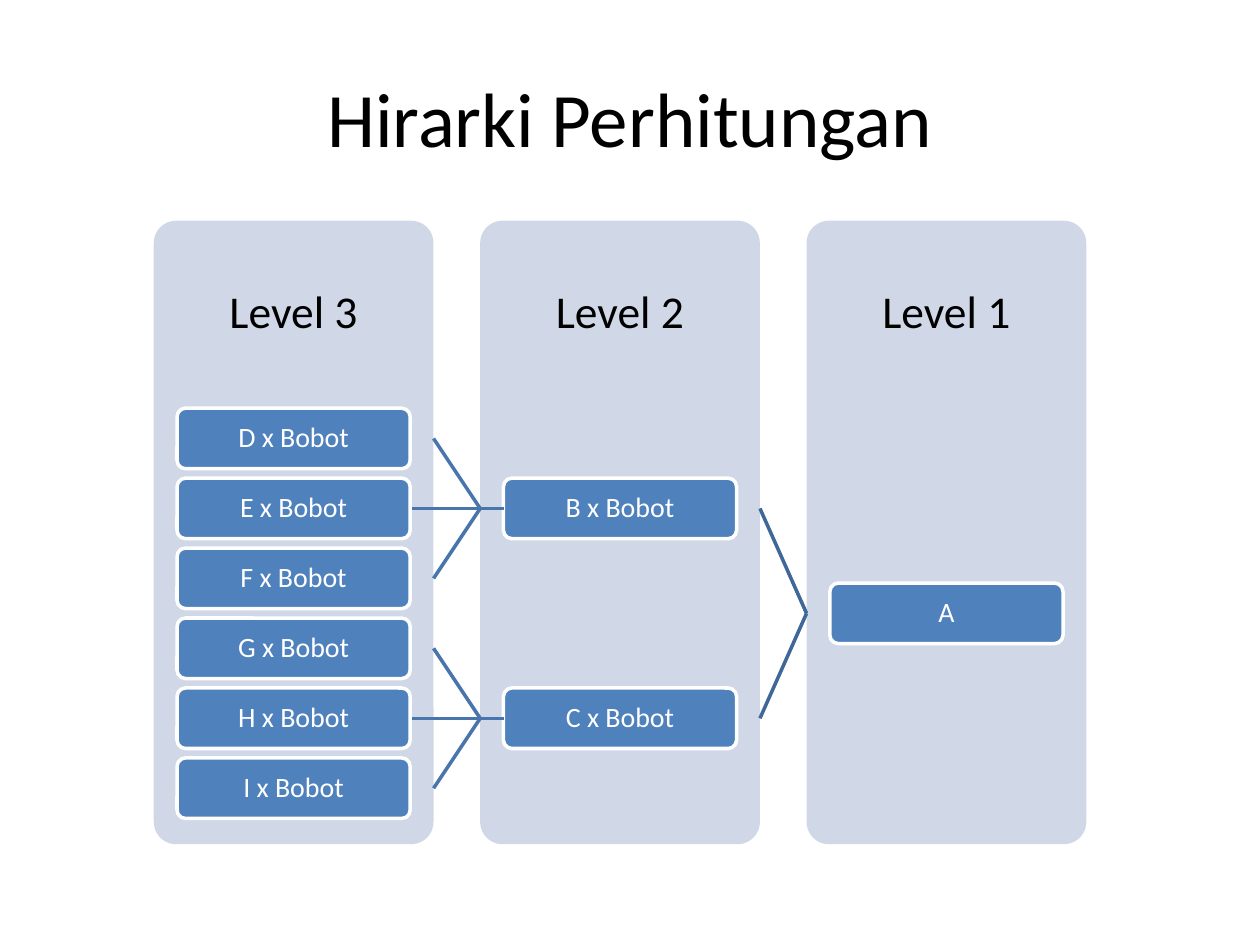
"""Build the slide showing the three-level calculation hierarchy."""
from lxml import etree
from pptx import Presentation
from pptx.dml.color import RGBColor
from pptx.enum.shapes import MSO_CONNECTOR, MSO_SHAPE
from pptx.enum.text import MSO_ANCHOR, PP_ALIGN
from pptx.oxml.ns import qn
from pptx.util import Cm, Pt

ROUNDED = MSO_SHAPE.ROUNDED_RECTANGLE
STRAIGHT = MSO_CONNECTOR.STRAIGHT
MIDDLE = MSO_ANCHOR.MIDDLE
CENTER = PP_ALIGN.CENTER

THEME = {
    "font": "Calibri",
    "title_size": 44, "level_size": 26, "node_size": 16, "line_width": 2,
    "dark": RGBColor(0x00, 0x00, 0x00),
    "white": RGBColor(0xFF, 0xFF, 0xFF),
    "panel": RGBColor(0xD0, 0xD8, 0xE8),
    "node": RGBColor(0x4F, 0x81, 0xBD),
    "branches": [RGBColor(0x48, 0x75, 0xAC), RGBColor(0x3F, 0x67, 0x97)],
}

PANEL_LEFT, PANEL_TOP, PANEL_WIDTH, PANEL_HEIGHT = 3.1, 4.45, 5.64, 12.57
PANEL_PITCH = 6.58
NODE_INSET, NODE_WIDTH, NODE_HEIGHT = 0.47, 4.7, 1.22
FIRST_ROW, ROW_PITCH = 8.84, 1.41

LEVELS = ["Level 3", "Level 2", "Level 1"]
NODES = [
    ("A", 2, 2.5, None),
    ("B x Bobot", 1, 1, 2.5), ("C x Bobot", 1, 4, 2.5),
    ("D x Bobot", 0, 0, 1), ("E x Bobot", 0, 1, 1), ("F x Bobot", 0, 2, 1),
    ("G x Bobot", 0, 3, 4), ("H x Bobot", 0, 4, 4), ("I x Bobot", 0, 5, 4),
]


def write(holder, text, size, color, spacing, margins):
    frame = holder.text_frame
    left, top, right, bottom = map(Cm, margins)
    frame_format = {
        "word_wrap": True, "vertical_anchor": MIDDLE,
        "margin_left": left, "margin_top": top,
        "margin_right": right, "margin_bottom": bottom,
    }
    for name, value in frame_format.items():
        setattr(frame, name, value)
    paragraph = frame.paragraphs[0]
    paragraph.alignment = CENTER
    paragraph.line_spacing = spacing
    run = paragraph.add_run()
    run.text = text
    for name, value in {"name": THEME["font"], "size": Pt(size)}.items():
        setattr(run.font, name, value)
    run.font.color.rgb = color


def add_block(left, top, width, height, fill, corner):
    block = slide.shapes.add_shape(ROUNDED, Cm(left), Cm(top), Cm(width), Cm(height))
    block.adjustments[0] = corner
    block.shadow.inherit = False
    block.fill.solid()
    block.fill.fore_color.rgb = fill
    block.line.fill.background()
    return block


deck = Presentation()
deck.slide_width, deck.slide_height = Cm(25.4), Cm(19.05)
slide = deck.slides.add_slide(deck.slide_layouts[6])

title = slide.shapes.add_textbox(Cm(1.27), Cm(0.76), Cm(22.86), Cm(3.18))
write(title, "Hirarki Perhitungan", THEME["title_size"], THEME["dark"], 1.0,
      (0.25, 0.13, 0.25, 0.13))

for column, level in enumerate(LEVELS):
    panel = add_block(PANEL_LEFT + column * PANEL_PITCH, PANEL_TOP,
                      PANEL_WIDTH, PANEL_HEIGHT, THEME["panel"], 0.08)
    write(panel, level, THEME["level_size"], THEME["dark"], 0.9,
          (0.51, 0.51, 0.51, 9.32))

for label, column, row, parent_row in NODES:
    panel_left = PANEL_LEFT + column * PANEL_PITCH
    node_left = panel_left + NODE_INSET
    middle = FIRST_ROW + row * ROW_PITCH
    if parent_row is not None:
        reach = NODE_INSET if row == parent_row else 0
        parent_middle = FIRST_ROW + parent_row * ROW_PITCH
        branch = slide.shapes.add_connector(
            STRAIGHT, Cm(panel_left + PANEL_WIDTH - reach), Cm(middle),
            Cm(panel_left + PANEL_PITCH + reach), Cm(parent_middle))
        branch.line.color.rgb = THEME["branches"][column]
        branch.line.width = Pt(THEME["line_width"])
        etree.SubElement(branch._element.spPr, qn("a:effectLst"))
    node = add_block(node_left, middle - NODE_HEIGHT / 2,
                     NODE_WIDTH, NODE_HEIGHT, THEME["node"], 0.14)
    node.line.color.rgb = THEME["white"]
    node.line.width = Pt(THEME["line_width"])
    write(node, label, THEME["node_size"], THEME["white"], 0.9, [0.08] * 4)

deck.save("out.pptx")
